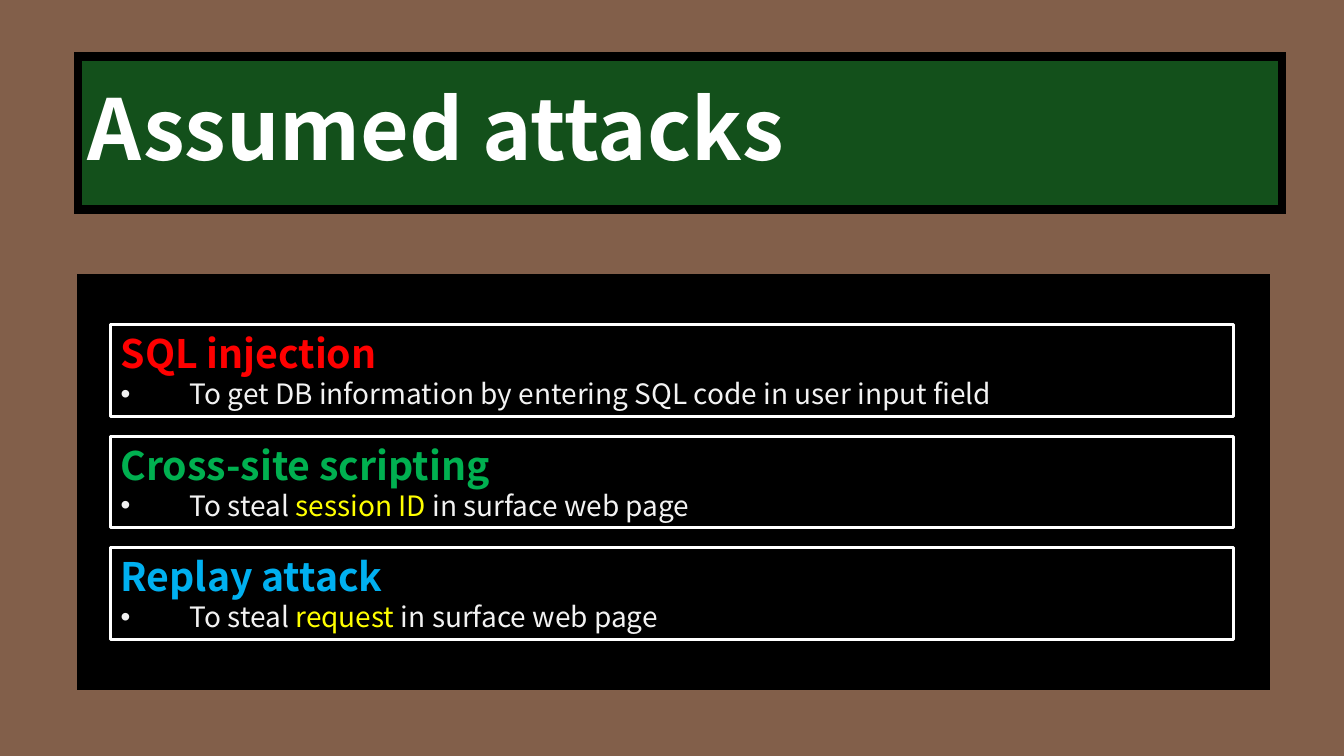
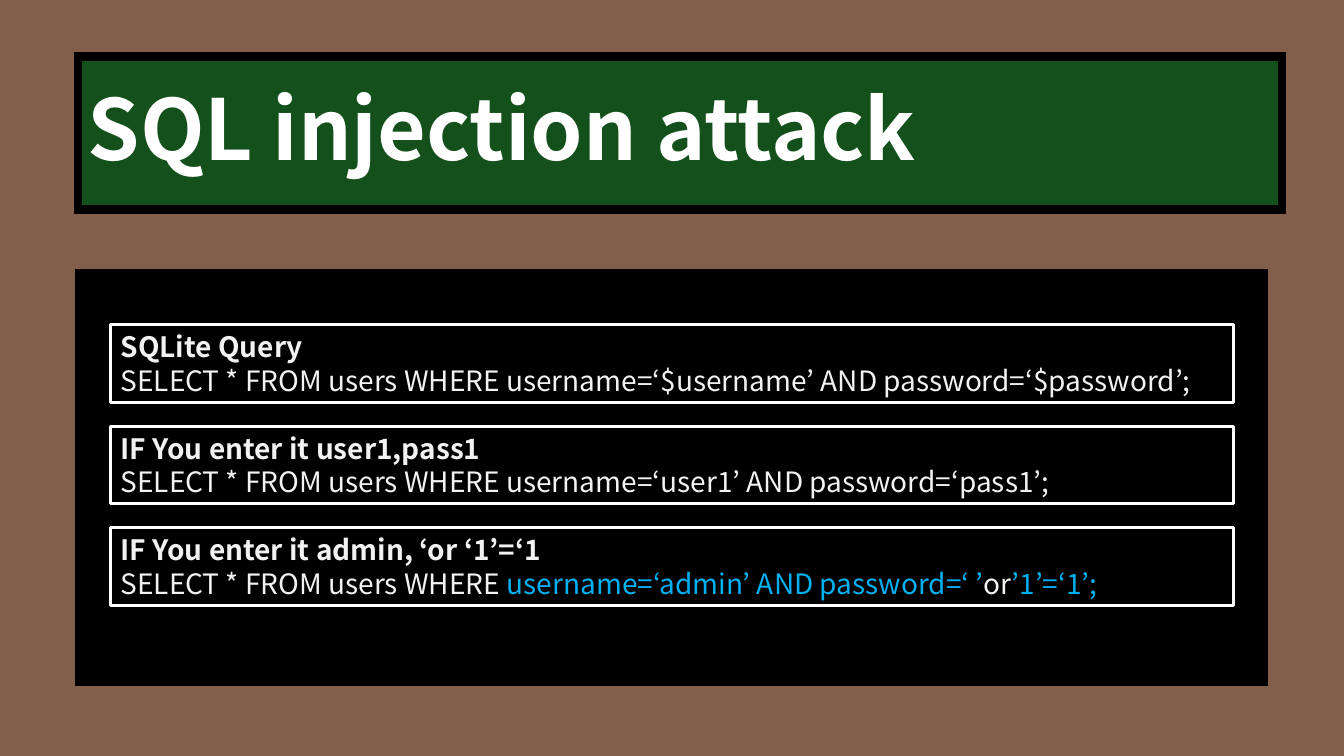
from dataclasses import dataclass

from lxml import etree
from pptx import Presentation
from pptx.dml.color import RGBColor
from pptx.enum.shapes import MSO_SHAPE
from pptx.enum.text import MSO_ANCHOR, MSO_AUTO_SIZE, PP_ALIGN
from pptx.oxml.ns import qn
from pptx.util import Cm, Pt

RECTANGLE = MSO_SHAPE.RECTANGLE
TOP, MIDDLE = MSO_ANCHOR.TOP, MSO_ANCHOR.MIDDLE
NO_FIT, GROW = MSO_AUTO_SIZE.NONE, MSO_AUTO_SIZE.SHAPE_TO_FIT_TEXT
LEFT = PP_ALIGN.LEFT

FONT = "Noto Sans CJK JP"
BROWN, BOARD_GREEN, BLACK, WHITE = "825F4A", "13501B", "000000", "FFFFFF"
RED, GREEN, BLUE, YELLOW, LIGHT = "FF0000", "00B050", "00B0F0", "FFFF00", "F2F2F2"
TITLE_ONLY = 5
BODY_SIZE = 20
BULLET_INDENT = Cm(1.74)
BOX_LEFT, BOX_TOP, BOX_WIDTH = 2.79, 8.18, 28.3


@dataclass(frozen=True)
class Piece:
    text: str
    color: str = LIGHT


@dataclass(frozen=True)
class Box:
    heading: Piece
    body: tuple[Piece, ...]


@dataclass(frozen=True)
class Page:
    title: str
    panel_left: float
    panel_top: float
    box_height: float
    box_step: float
    heading_size: int
    bulleted: bool
    boxes: tuple[Box, ...]


QUERY = "SELECT * FROM users WHERE "

PAGES = (
    Page("Assumed attacks", 1.96, 6.93, 2.31, 2.81, 28, True, (
        Box(Piece("SQL injection", RED),
            (Piece("To get DB information by entering SQL code in user input field"),)),
        Box(Piece("Cross-site scripting", GREEN),
            (Piece("To steal "), Piece("session ID ", YELLOW),
             Piece("in surface web page"))),
        Box(Piece("Replay attack", BLUE),
            (Piece("To steal "), Piece("request", YELLOW),
             Piece(" in surface web page"))),
    )),
    Page("SQL injection attack", 1.92, 6.81, 1.96, 2.56, BODY_SIZE, False, (
        Box(Piece("SQLite Query"),
            (Piece(QUERY + "username=‘$username’ AND password=‘$password’;"),)),
        Box(Piece("IF You enter it user1,pass1"),
            (Piece(QUERY + "username=‘user1’ AND password=‘pass1’;"),)),
        Box(Piece("IF You enter it admin, ‘or ‘1’=‘1"),
            (Piece(QUERY), Piece("username=‘admin’ AND password=‘ ’", BLUE),
             Piece("or"), Piece("’1’=‘1’;", BLUE))),
    )),
)


def rgb(color: str) -> RGBColor:
    return RGBColor.from_string(color)


def format_font(font, size: int, color: str, bold: bool) -> None:
    font.name = FONT
    font.size = Pt(size)
    font.bold = bold
    font.color.rgb = rgb(color)


def add_rectangle(slide, left: float, top: float, width: float, height: float,
                  line_color: str, line_width: float, fill: str | None = None):
    shape = slide.shapes.add_shape(RECTANGLE, Cm(left), Cm(top), Cm(width), Cm(height))
    shape.shadow.inherit = False
    shape.line.color.rgb = rgb(line_color)
    shape.line.width = Pt(line_width)
    if fill is None:
        shape.fill.background()
    else:
        shape.fill.solid()
        shape.fill.fore_color.rgb = rgb(fill)
        # Filled boards keep sharp corners
        outline = shape._element.spPr.find(qn("a:ln"))
        etree.SubElement(outline, qn("a:miter"), lim="800000")
    return shape


def add_bullet(paragraph) -> None:
    properties = paragraph._p.get_or_add_pPr()
    properties.set("marL", str(BULLET_INDENT))
    properties.set("indent", str(-BULLET_INDENT))
    etree.SubElement(properties, qn("a:buFont"), typeface="Arial")
    etree.SubElement(properties, qn("a:buChar"), char="•")


def write_pieces(paragraph, pieces: tuple[Piece, ...], size: int, bold: bool) -> None:
    paragraph.alignment = LEFT
    for piece in pieces:
        run = paragraph.add_run()
        run.text = piece.text
        format_font(run.font, size, piece.color, bold)


def add_title(slide, text: str) -> None:
    band = add_rectangle(slide, 1.96, 1.42, 30.35, 3.86, BLACK, 6, BOARD_GREEN)
    title = slide.shapes.title
    title._element.addprevious(band._element)  # the band lies behind the title
    title.left, title.top = Cm(1.96), Cm(1.9)
    title.width, title.height = Cm(21.95), Cm(2.9)
    frame = title.text_frame
    frame.text = text
    frame.word_wrap = True
    frame.auto_size = NO_FIT
    frame.vertical_anchor = MIDDLE
    paragraph = frame.paragraphs[0]
    paragraph.alignment = LEFT
    paragraph.line_spacing = 0.9
    format_font(paragraph.runs[0].font, 60, WHITE, True)


def add_box(slide, box: Box, top: float, page: Page) -> None:
    shape = add_rectangle(slide, BOX_LEFT, top, BOX_WIDTH, page.box_height, WHITE, 2.25)
    frame = shape.text_frame
    frame.word_wrap = True
    frame.auto_size = GROW
    frame.vertical_anchor = TOP
    write_pieces(frame.paragraphs[0], (box.heading,), page.heading_size, True)
    body = frame.add_paragraph()
    write_pieces(body, box.body, BODY_SIZE, False)
    if page.bulleted:
        add_bullet(body)


def add_page(presentation, page: Page) -> None:
    slide = presentation.slides.add_slide(presentation.slide_layouts[TITLE_ONLY])
    add_title(slide, page.title)
    add_rectangle(slide, page.panel_left, page.panel_top, 30.02, 10.44, BLACK, 1.5, BLACK)
    for index, box in enumerate(page.boxes):
        add_box(slide, box, BOX_TOP + index * page.box_step, page)


def main() -> None:
    presentation = Presentation()
    presentation.slide_width, presentation.slide_height = Cm(33.87), Cm(19.05)
    # Shared background
    background = presentation.slide_master.background.fill
    background.solid()
    background.fore_color.rgb = rgb(BROWN)
    for page in PAGES:
        add_page(presentation, page)
    presentation.save("out.pptx")


if __name__ == "__main__":
    main()
